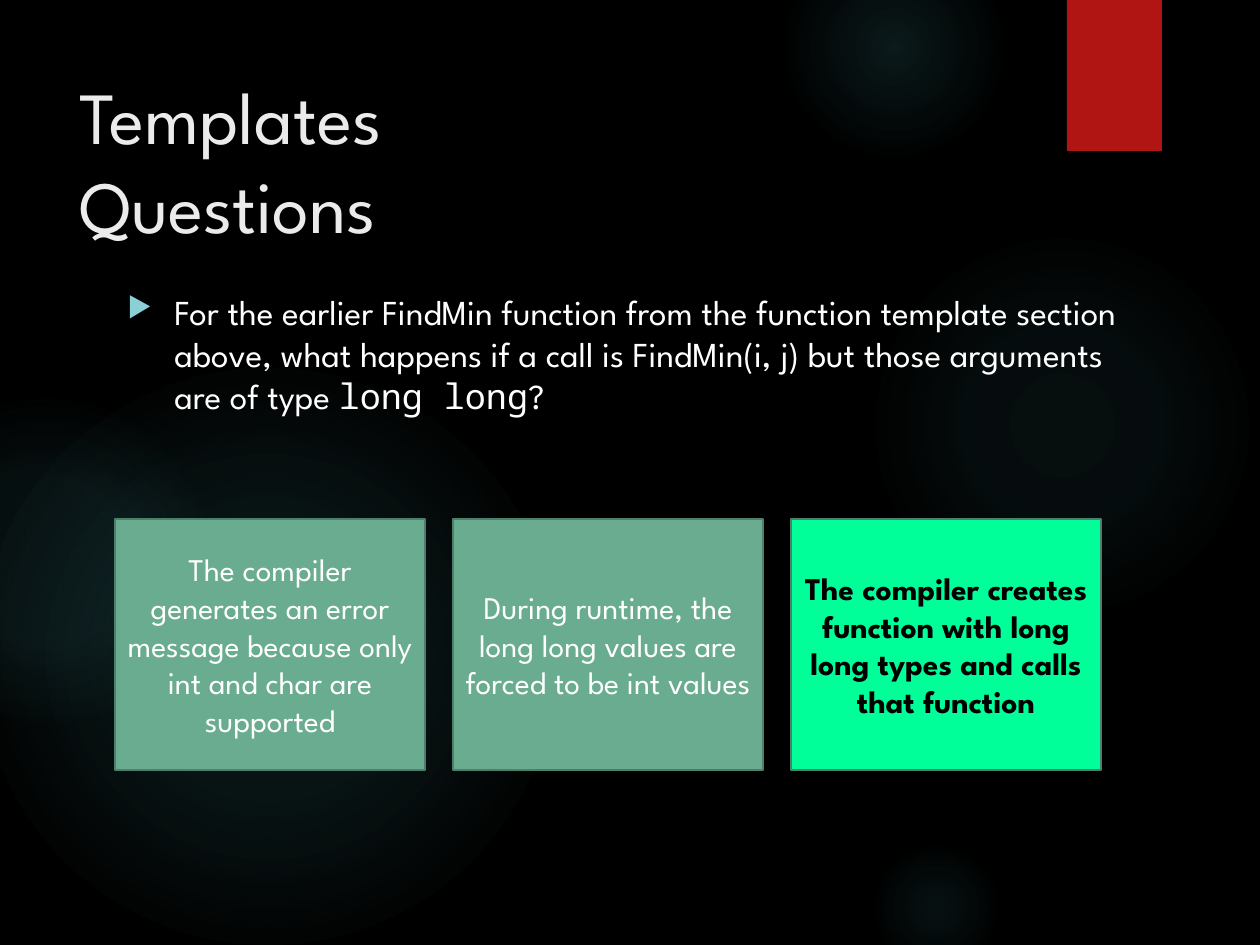
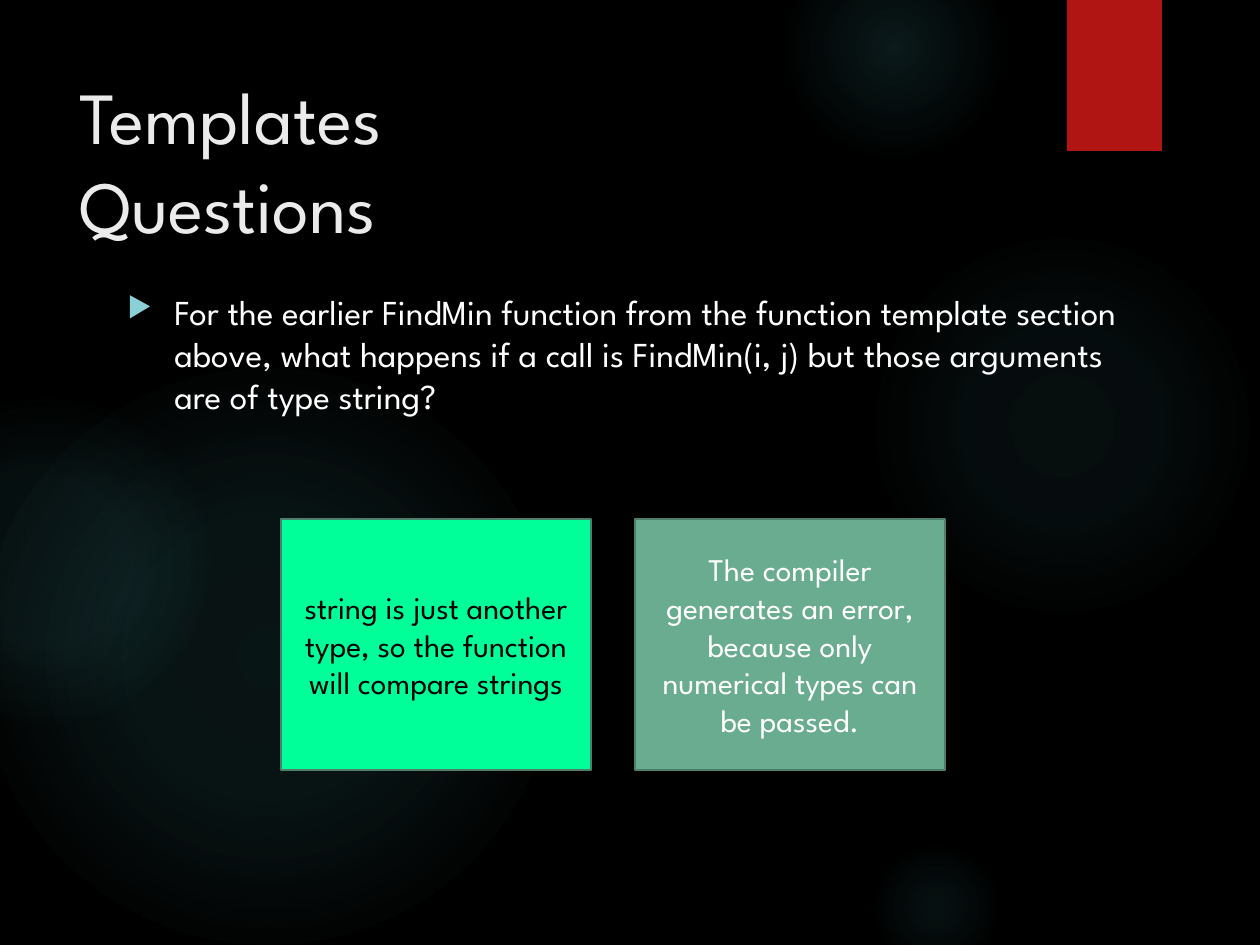
from dataclasses import dataclass

from pptx import Presentation
from pptx import util as u
from pptx.dml.color import RGBColor
from pptx.enum import shapes, text
from pptx.oxml import parse_xml
from pptx.oxml.ns import nsdecls

TITLE = "Templates\nQuestions"
QUESTION = ("For the earlier FindMin function from the function template section above, "
            "what happens if a call is FindMin(i, j) but those arguments are of type ")

# Question spans are (words, is code); answers are (words, is correct, is bold).
QUIZ = [
    {"question": [(QUESTION, False), ("long long", True), ("?", False)],
     "first_left": 115, "gap": 28,
     "answers": [
         ("The compiler generates an error message because only int and char are supported",
          False, False),
         ("During runtime, the long long values are forced to be int values", False, False),
         ("The compiler creates function with long long types and calls that function",
          True, True)]},
    {"question": [(QUESTION + "string?", False)],
     "first_left": 281, "gap": 44,
     "answers": [
         ("string is just another type, so the function will compare strings", True, False),
         ("The compiler generates an error, because only numerical types can be passed.",
          False, False)]},
]

# Left, top, diameter, then gradient stops as (position %, opacity %).
GLOWS = [
    (868, 231, 388, [(0, 7), (36, 6), (69, 0)]),
    (784, -63, 220, [(0, 14), (36, 7), (73, 0)]),
    (868, 840, 136, [(0, 9), (36, 5), (66, 0)]),
    (-21, 368, 577, [(0, 11), (36, 10), (75, 0)]),
    (-116, 399, 325, [(0, 8), (36, 8), (72, 0)]),
]

SLIDE_SIZE = (1260, 945)
RIBBON = (1067, 0, 95, 151)
TITLE_BOX = (67, 63, 973, 193)
QUESTION_BOX = (115, 284, 1041, 578)
CARD_TOP, CARD_WIDTH, CARD_HEIGHT = 519, 310, 251
BULLET_INDENT = 47


@dataclass(frozen=True)
class Theme:
    background: str = "000000"
    glow: str = "50B9C1"
    ribbon: str = "B01513"
    title: str = "EBEBEB"
    body: str = "FFFFFF"
    bullet: str = "8AD0D6"
    card: str = "6AAC90"
    card_line: str = "4E7F6B"
    correct: str = "00FF99"
    correct_text: str = "000000"
    font: str = "League Spartan"
    code_font: str = "Noto Sans Mono"
    title_size: int = 42
    body_size: int = 20
    card_size: int = 18


THEME = Theme()


def px(length):
    return u.Emu(round(length * 914400 / 126))


def set_font(font, size, color, bold=False):
    font.name = THEME.font
    font.size = u.Pt(size)
    font.bold = bold
    font.color.rgb = RGBColor.from_string(color)


def add_plain_shape(page, kind, box, color=None):
    """Add a shape without line or shadow; without a colour it has no fill."""
    shape = page.shapes.add_shape(kind, *map(px, box))
    shape.shadow.inherit = False
    shape.line.fill.background()
    if color:
        shape.fill.solid()
        shape.fill.fore_color.rgb = RGBColor.from_string(color)
    else:
        shape.fill.background()
    return shape


def add_glow(page, left, top, diameter, stops):
    glow = add_plain_shape(page, shapes.MSO_SHAPE.OVAL, (left, top, diameter, diameter))
    stop_xml = "".join(
        f'<a:gs pos="{position * 1000}"><a:srgbClr val="{THEME.glow}">'
        f'<a:alpha val="{opacity * 1000}"/></a:srgbClr></a:gs>'
        for position, opacity in stops)
    gradient = parse_xml(
        f'<a:gradFill {nsdecls("a")} rotWithShape="1"><a:gsLst>{stop_xml}</a:gsLst>'
        '<a:path path="circle"><a:fillToRect l="50000" t="50000" r="50000" b="50000"/>'
        '</a:path></a:gradFill>')
    properties = glow.element.spPr
    properties.replace(properties.find("{*}noFill"), gradient)


def add_ribbon(page):
    ribbon = add_plain_shape(page, shapes.MSO_SHAPE.RECTANGLE, RIBBON, THEME.ribbon)
    ribbon.element.spPr.find("{*}effectLst").append(parse_xml(
        f'<a:outerShdw {nsdecls("a")} blurRad="{u.Pt(3)}" dist="{u.Pt(2)}" dir="5400000" '
        'rotWithShape="0"><a:srgbClr val="000000"><a:alpha val="45000"/></a:srgbClr>'
        '</a:outerShdw>'))


def add_text_box(page, box):
    frame = page.shapes.add_textbox(*map(px, box)).text_frame
    frame.word_wrap = True
    return frame


def add_title(page):
    frame = add_text_box(page, TITLE_BOX)
    frame.vertical_anchor = text.MSO_ANCHOR.MIDDLE
    para = frame.paragraphs[0]
    para.text = TITLE
    set_font(para.font, THEME.title_size, THEME.title)


def add_bullet(para):
    properties = para._p.get_or_add_pPr()
    properties.set("marL", str(px(BULLET_INDENT)))
    properties.set("indent", str(-px(BULLET_INDENT)))
    for bullet_part in (f'buClr {nsdecls("a")}><a:srgbClr val="{THEME.bullet}"/></a:buClr>',
                        f'buSzPct {nsdecls("a")} val="80000"/>',
                        f'buChar {nsdecls("a")} char="▶"/>'):
        properties.append(parse_xml("<a:" + bullet_part))


def add_question(page, spans):
    para = add_text_box(page, QUESTION_BOX).paragraphs[0]
    add_bullet(para)
    para.space_before = u.Pt(10)
    set_font(para.font, THEME.body_size, THEME.body)
    for words, is_code in spans:
        span = para.add_run()
        span.text = words
        if is_code:
            span.font.name = THEME.code_font


def add_card(page, left, words, is_correct, is_bold):
    card = add_plain_shape(page, shapes.MSO_SHAPE.RECTANGLE,
                           (left, CARD_TOP, CARD_WIDTH, CARD_HEIGHT),
                           THEME.correct if is_correct else THEME.card)
    card.line.color.rgb = RGBColor.from_string(THEME.card_line)
    card.line.width = u.Pt(1.5)
    frame = card.text_frame
    frame.word_wrap = True
    frame.vertical_anchor = text.MSO_ANCHOR.MIDDLE
    para = frame.paragraphs[0]
    para.text = words
    para.alignment = text.PP_ALIGN.CENTER
    set_font(para.font, THEME.card_size,
             THEME.correct_text if is_correct else THEME.body, is_bold)


def add_quiz_page(deck, quiz):
    page = deck.slides.add_slide(deck.slide_layouts[6])
    for glow in GLOWS:
        add_glow(page, *glow)
    add_ribbon(page)
    add_title(page)
    add_question(page, quiz["question"])
    for column, answer in enumerate(quiz["answers"]):
        add_card(page, quiz["first_left"] + column * (CARD_WIDTH + quiz["gap"]), *answer)


def main():
    deck = Presentation()
    deck.slide_width, deck.slide_height = map(px, SLIDE_SIZE)
    backdrop = deck.slide_master.background.fill
    backdrop.solid()
    backdrop.fore_color.rgb = RGBColor.from_string(THEME.background)
    for quiz in QUIZ:
        add_quiz_page(deck, quiz)
    deck.save("out.pptx")


if __name__ == "__main__":
    main()
